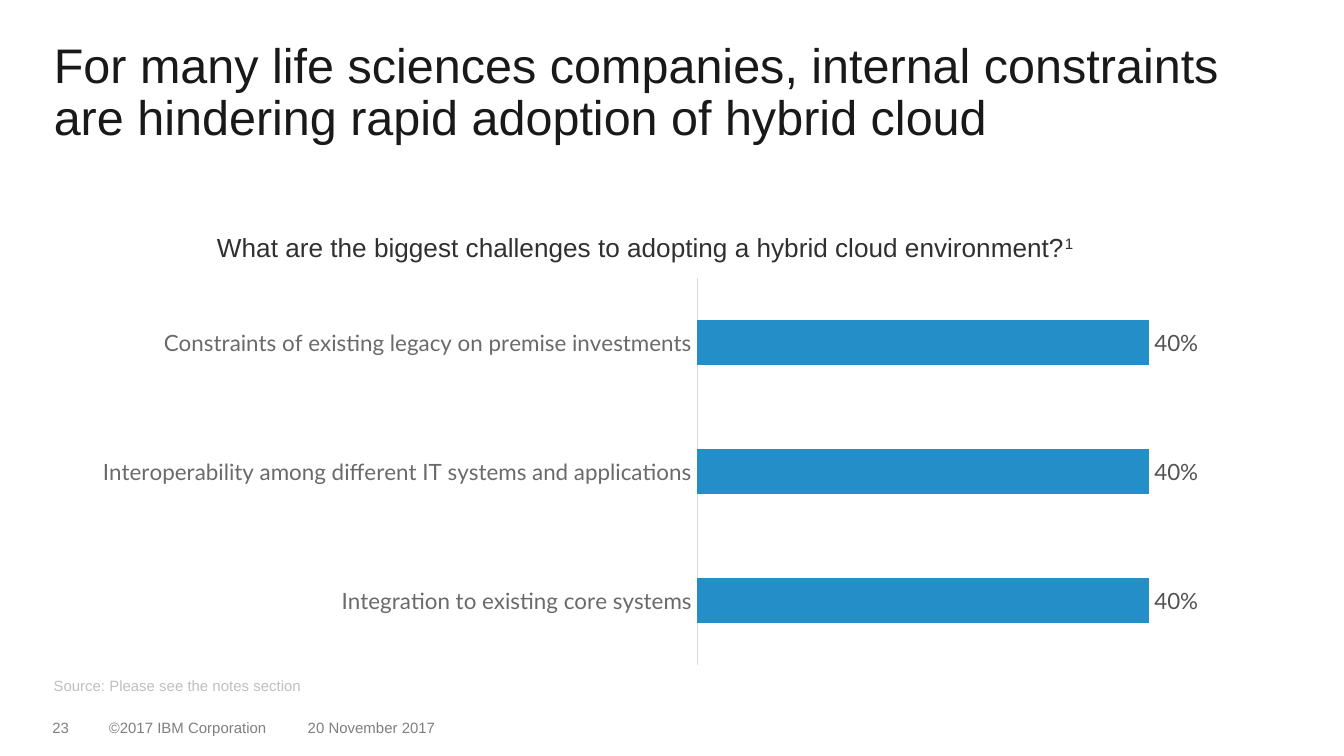
from dataclasses import dataclass

from lxml.etree import SubElement
from pptx import Presentation
from pptx.chart.data import CategoryChartData
from pptx.dml.color import RGBColor
from pptx.enum.chart import XL_CHART_TYPE as ChartType, XL_LABEL_POSITION as LabelPosition
from pptx.enum.chart import XL_TICK_MARK as TickMark
from pptx.enum.text import MSO_ANCHOR as Anchor, MSO_AUTO_SIZE as AutoSize, PP_ALIGN as Align
from pptx.oxml.ns import qn
from pptx.util import Inches, Pt


@dataclass(frozen=True)
class Theme:
    text_font: str = "Arial"
    chart_font: str = "Lato"
    ink: str = "191919"
    question: str = "303030"
    category: str = "6A6A6A"
    value: str = "525252"
    footer: str = "7F7F7F"
    source: str = "BFBFBF"
    axis: str = "DCDCDC"
    bar: str = "248EC9"
    title_size: float = 26
    question_size: float = 14
    label_size: float = 12
    chart_size: float = 10
    small_size: float = 8
    line_spacing: float = 0.9


class SlideBuilder:
    def __init__(self, slide, theme):
        self.slide = slide
        self.theme = theme

    def style(self, font, size, color, family):
        for attribute, setting in {"size": Pt(size), "name": family, "bold": False}.items():
            setattr(font, attribute, setting)
        font.color.rgb = RGBColor.from_string(color)

    def fill_text(self, frame, wording, size, color, align=Align.LEFT,
                  anchor=Anchor.TOP, insets=(0, 0, 0, 0), superscript=""):
        left, top, right, bottom = map(Inches, insets)
        frame_format = {
            "word_wrap": True, "auto_size": AutoSize.NONE, "vertical_anchor": anchor,
            "margin_left": left, "margin_top": top,
            "margin_right": right, "margin_bottom": bottom,
        }
        for attribute, setting in frame_format.items():
            setattr(frame, attribute, setting)
        paragraph = frame.paragraphs[0]
        paragraph.alignment = align
        paragraph.line_spacing = self.theme.line_spacing
        for part in filter(None, (wording, superscript)):
            run = paragraph.add_run()
            run.text = part
            self.style(run.font, size, color, self.theme.text_font)
        if superscript:
            run._r.get_or_add_rPr().set("baseline", "30000")

    def title(self, wording, box):
        heading = self.slide.shapes.title
        for attribute, length in zip(("left", "top", "width", "height"), box):
            setattr(heading, attribute, Inches(length))
        self.fill_text(heading.text_frame, wording, self.theme.title_size, self.theme.ink)

    def text(self, wording, box, size, color, **options):
        label = self.slide.shapes.add_textbox(*map(Inches, box))
        self.fill_text(label.text_frame, wording, size, color, **options)

    def bar_chart(self, shares, box, plot_box):
        theme = self.theme
        chart_data = CategoryChartData(number_format="0%")
        chart_data.categories = list(shares)
        chart_data.add_series("Series 1", list(shares.values()))
        chart = self.slide.shapes.add_chart(
            ChartType.BAR_CLUSTERED, *map(Inches, box), chart_data).chart
        chart.has_legend = False
        chart.has_title = False
        self.style(chart.font, theme.chart_size, theme.ink, theme.chart_font)

        categories = chart.category_axis
        categories.major_tick_mark = TickMark.NONE
        categories.format.line.color.rgb = RGBColor.from_string(theme.axis)
        categories.format.line.width = Pt(0.75)
        self.style(categories.tick_labels.font, theme.label_size, theme.category, theme.chart_font)

        value_format = {"visible": False, "has_major_gridlines": False,
                        "minimum_scale": 0, "maximum_scale": 0.45}
        for attribute, setting in value_format.items():
            setattr(chart.value_axis, attribute, setting)

        plot = chart.plots[0]
        plot.gap_width = 182
        plot.vary_by_categories = False
        challenge_bars = plot.series[0]
        challenge_bars.format.fill.solid()
        challenge_bars.format.fill.fore_color.rgb = RGBColor.from_string(theme.bar)
        share_labels = challenge_bars.data_labels
        label_format = {"show_value": True, "position": LabelPosition.OUTSIDE_END,
                        "number_format": "0%", "number_format_is_linked": False}
        for attribute, setting in label_format.items():
            setattr(share_labels, attribute, setting)
        self.style(share_labels.font, theme.label_size, theme.value, theme.chart_font)
        self.place_plot(chart, box, plot_box)

    def place_plot(self, chart, box, plot_box):
        left, top, width, height = box
        plot_left, plot_top, plot_width, plot_height = plot_box
        area = chart._chartSpace.find(".//" + qn("c:plotArea"))
        layout = area.find(qn("c:layout"))
        if layout is None:
            layout = SubElement(area, qn("c:layout"))
            area.insert(0, layout)
        manual = SubElement(layout, qn("c:manualLayout"))
        settings = {
            "layoutTarget": "inner", "xMode": "edge", "yMode": "edge",
            "x": (plot_left - left) / width, "y": (plot_top - top) / height,
            "w": plot_width / width, "h": plot_height / height,
        }
        for tag, setting in settings.items():
            SubElement(manual, qn(f"c:{tag}")).set("val", str(setting))


def main():
    presentation = Presentation()
    presentation.slide_width = Inches(10)
    presentation.slide_height = Inches(10 * 9 / 16)
    theme = Theme()
    slide = presentation.slides.add_slide(presentation.slide_layouts[5])
    builder = SlideBuilder(slide, theme)

    footers = {
        "©2017 IBM Corporation": (0.81, 1.24, 0.12),
        "20 November 2017": (2.29, 1.1, 0.15),
        "23": (0.39, 0.36, 0.18),
    }
    for wording, (left, width, height) in footers.items():
        builder.text(wording, (left, 5.36, width, height), theme.small_size, theme.footer)

    builder.title("For many life sciences companies, internal constraints "
                  "are hindering rapid adoption of hybrid cloud", (0.4, 0.31, 9.25, 0.85))
    builder.text("What are the biggest challenges to adopting a hybrid cloud environment?",
                 (1.5, 1.75, 6.7, 0.26), theme.question_size, theme.question,
                 align=Align.CENTER, insets=(0, 0, 0.1, 0.05), superscript="1")
    builder.text("Source: Please see the notes section", (0.3, 4.96, 3.05, 0.26),
                 theme.small_size, theme.source,
                 anchor=Anchor.BOTTOM, insets=(0.1, 0.05, 0.1, 0.05))

    challenges = {
        "Integration to existing core systems": 0.4,
        "Interoperability among different IT systems and applications": 0.4,
        "Constraints of existing legacy on premise investments": 0.4,
    }
    builder.bar_chart(challenges, (0.6, 2.01, 8.55, 2.99), (5.19, 2.07, 3.78, 2.88))
    presentation.save("out.pptx")


if __name__ == "__main__":
    main()
